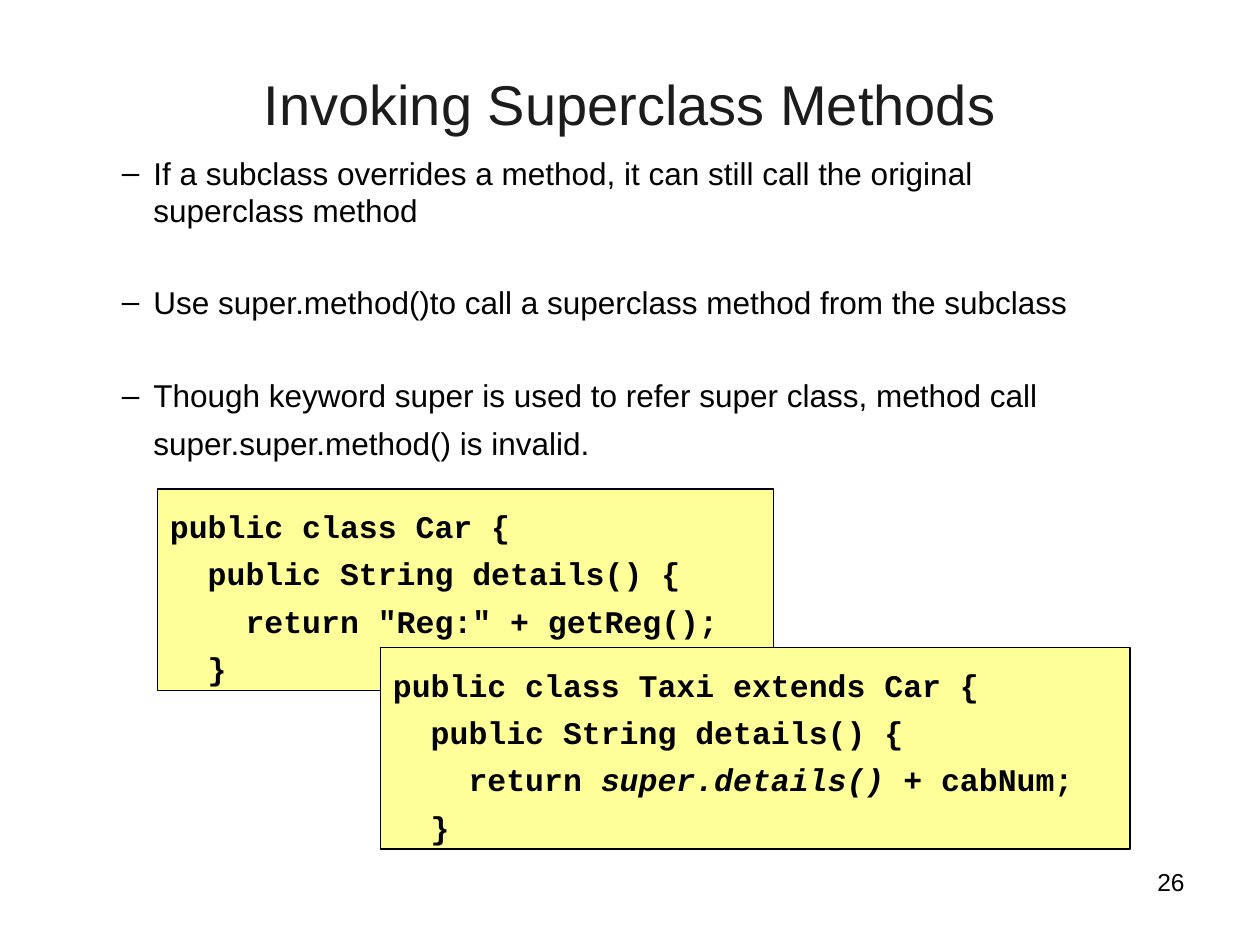
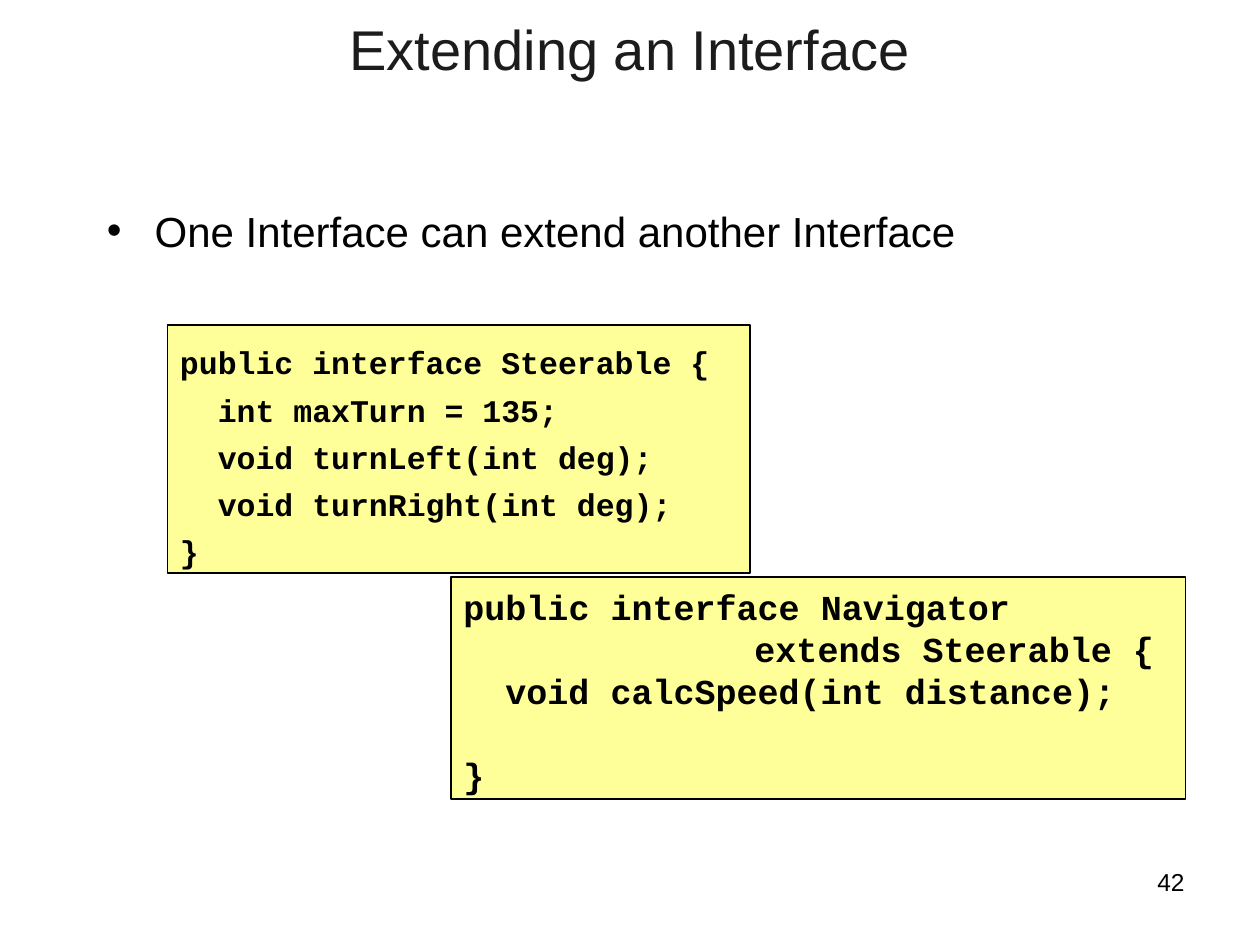
from lxml.etree import SubElement
from pptx import Presentation
from pptx.dml.color import RGBColor
from pptx.enum.shapes import MSO_SHAPE
from pptx.enum.text import MSO_ANCHOR, PP_ALIGN
from pptx.oxml.ns import qn
from pptx.util import Inches, Pt

COLORS = {"paper": "FFFFFF", "text": "000000", "title": "1C1C1C", "code": "FFFF99"}
LINE_RATIO = 1.2   # line height over font size
CHAR_RATIO = 0.6   # width of a monospaced character over font size


def write(page, area, lines, size, font="Arial", color="text", align=PP_ALIGN.LEFT,
          bold=False, fill=None, bullet=None, hang=(0, 0), spacing=None, top_inset=0.05):
    """Add a box of (text, indent in characters, space before, line height) lines.

    Text between asterisks is italic; fill turns the box into an outlined rectangle.
    """
    place = [Inches(length) for length in area]
    if fill:
        box = page.shapes.add_shape(MSO_SHAPE.RECTANGLE, *place)
        box.shadow.inherit = False
        box.fill.solid()
        box.fill.fore_color.rgb = RGBColor.from_string(COLORS[fill])
        box.line.color.rgb = RGBColor.from_string(COLORS["text"])
        box.line.width = Pt(1)
    else:
        box = page.shapes.add_textbox(*place)
    frame = box.text_frame
    frame.word_wrap = True
    frame.vertical_anchor = MSO_ANCHOR.TOP
    frame.margin_top = Inches(top_inset)
    for number, (text, depth, before, height) in enumerate(lines):
        para = frame.paragraphs[0] if number == 0 else frame.add_paragraph()
        para.alignment = align
        para.space_before = Pt(before)
        para.line_spacing = Pt(height or spacing or size * LINE_RATIO)
        margin, first = hang
        margin += depth * size * CHAR_RATIO / 72
        props = para._p.get_or_add_pPr()
        props.set("marL", str(Inches(margin)))
        props.set("indent", str(Inches(first)))
        if bullet:
            SubElement(props, qn("a:buFont"), typeface="Arial")
            SubElement(props, qn("a:buChar"), char=bullet)
        for part, words in enumerate(text.split("*")):
            span = para.add_run()
            span.text = words
            span.font.name = font
            span.font.size = Pt(size)
            span.font.bold = bold
            span.font.italic = part % 2 == 1
            span.font.color.rgb = RGBColor.from_string(COLORS[color])


def plain(text, depth=0, before=0, height=None):
    """Describe one line of text for write()."""
    return text, depth, before, height


CODE = dict(font="Courier New", bold=True, fill="code", top_inset=0.07)
SMALL_CODE = dict(CODE, size=18, spacing=27)
LARGE_CODE = dict(CODE, size=20)

SLIDES = [
    dict(
        title="Invoking Superclass Methods", title_area=(0.75, 0.5, 8.5, 1.25), number="26",
        body_area=(0.75, 1.17, 8.24, 3.7),
        body_style=dict(size=18, bullet="–", hang=(0.37, -0.25)),
        body=[
            plain("If a subclass overrides a method, it can still call the original "
                  "superclass method"),
            plain("Use super.method()to call a superclass method from the subclass", before=30.6),
            plain("Though keyword super is used to refer super class, method call "
                  "super.super.method() is invalid.", before=26, height=27.5),
        ],
        listings=[
            ((1.25, 3.88, 4.89, 1.6), SMALL_CODE, [
                plain("public class Car {"),
                plain("public String details() {", 2),
                plain('return "Reg:" + getReg();', 4),
                plain("}", 2),
            ]),
            ((3.02, 5.14, 5.95, 1.6), SMALL_CODE, [
                plain("public class Taxi extends Car {"),
                plain("public String details() {", 2),
                plain("return *super.details() *+ cabNum;", 4),
                plain("}", 2),
            ]),
        ],
    ),
    dict(
        title="Extending an Interface", title_area=(0.5, 0.07, 9, 0.7), number="42",
        body_area=(0.75, 1.58, 8.5, 4.5),
        body_style=dict(size=24, bullet="•", hang=(0.38, -0.38)),
        body=[plain("One Interface can extend another Interface")],
        listings=[
            ((1.33, 2.58, 4.62, 1.97), SMALL_CODE, [
                plain("public interface Steerable {"),
                plain("int maxTurn = 135;", 2),
                plain("void turnLeft(int deg);", 2),
                plain("void turnRight(int deg);", 2),
                plain("}"),
            ]),
            ((3.58, 4.58, 5.83, 1.76), LARGE_CODE, [
                plain("public interface Navigator"),
                plain("extends Steerable {", 13.86),
                plain("void calcSpeed(int distance);", 2),
                plain("}", before=24),
            ]),
        ],
    ),
]

deck = Presentation()
deck.slide_width, deck.slide_height = Inches(10), Inches(7.5)

for content in SLIDES:
    page = deck.slides.add_slide(deck.slide_layouts[6])
    page.background.fill.solid()
    page.background.fill.fore_color.rgb = RGBColor.from_string(COLORS["paper"])
    write(page, (7.17, 6.83, 2.33, 0.52), [plain(content["number"])], 14,
          align=PP_ALIGN.RIGHT)
    write(page, content["title_area"], [plain(content["title"])], 32, color="title",
          align=PP_ALIGN.CENTER)
    write(page, content["body_area"], content["body"], **content["body_style"])
    for area, style, lines in content["listings"]:
        write(page, area, lines, **style)

deck.save("out.pptx")
